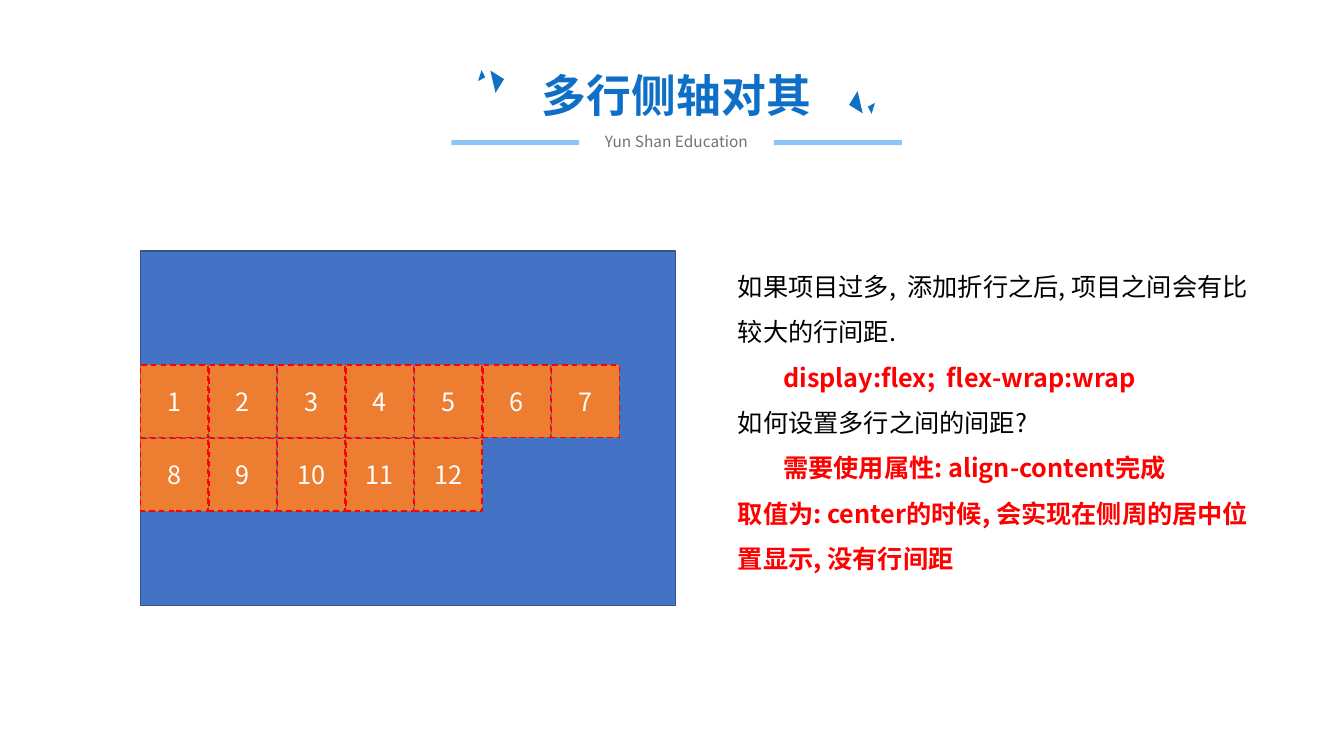
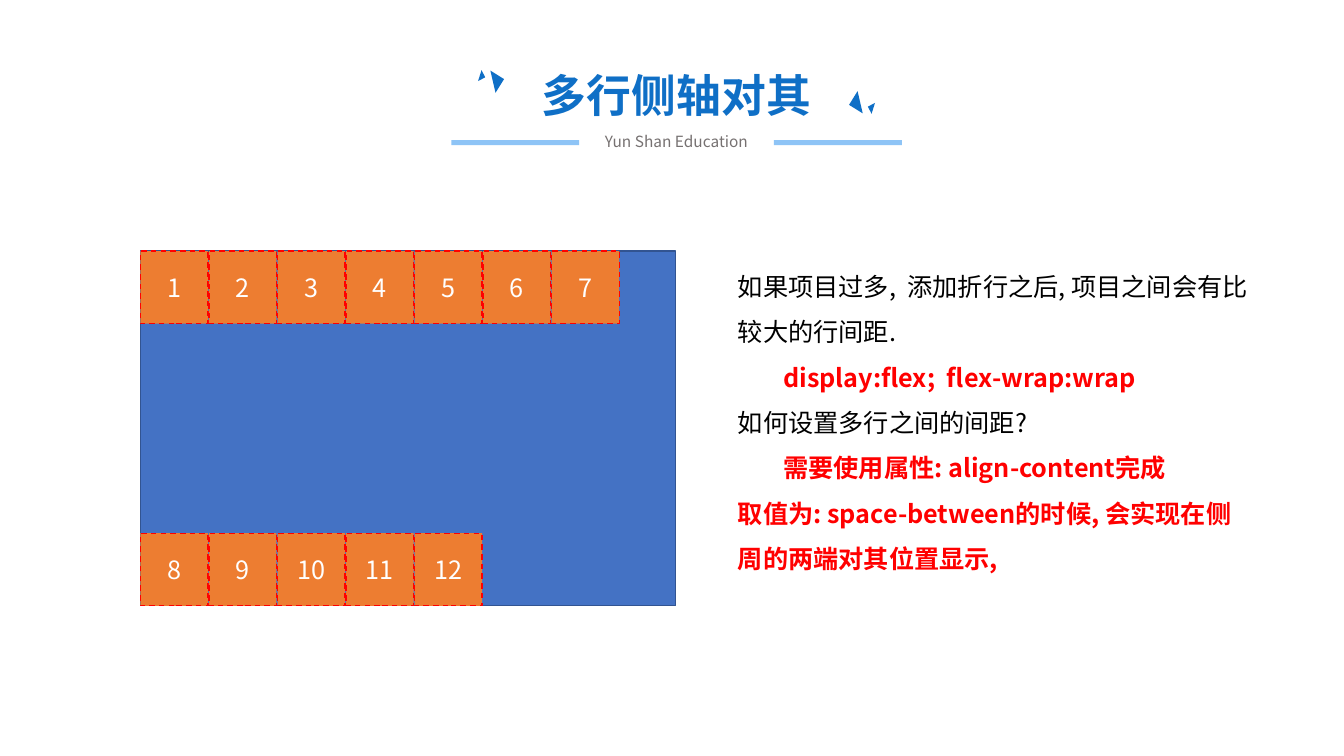
from lxml import etree
from pptx import Presentation
from pptx import util as u
from pptx.dml.color import RGBColor
from pptx.enum import dml, shapes, text
from pptx.oxml.ns import qn

# Grid: 160 columns by 90 rows of square cells
WIDTH, HEIGHT = u.Inches(13.33), u.Inches(7.5)
COLUMN, ROW = WIDTH / 160, HEIGHT / 90

# Shared look
FONT = "Noto Sans CJK SC"
BLUE, PALE_BLUE, GREY = "0F6FC6", "8EC4F6", "767171"
BLACK, WHITE, RED = "000000", "FFFFFF", "FF0000"
PANEL_FILL, PANEL_LINE, TILE_FILL = "4472C4", "325491", "ED7D31"

# Heading, symmetric about one centre
HEADING = "多行侧轴对其"
SUBHEADING = "Yun Shan Education"
CENTRE_X, CENTRE_Y = 80.54, 10.95
TITLE_WIDTH, CAPTION_WIDTH = 42, 21.5
TRIANGLES = [(58.68, 9.72, 1.92, 211.9), (57.12, 9, 0.96, 242.5)]
BAR_WIDTH, BAR_GAP = 15.24, 23.16

# Flex container and its items
PANEL_X, PANEL_Y, PANEL_W, PANEL_H = 16.72, 29.88, 63.72, 42.24
TILE_W, TILE_H, TILE_STEP = 8.04, 8.64, 8.16
TILES_PER_ROW, TILE_COUNT = 7, 12
INDENT = u.Inches(0.45)


def colour(value):
    return RGBColor.from_string(value)


def area(x, y, width, height):
    """Turn columns and rows into a left, top, width, height in EMU."""
    return [round(n) for n in (x * COLUMN, y * ROW, width * COLUMN, height * ROW)]


def place(box, *cells):
    box.left, box.top, box.width, box.height = area(*cells)


def style(para, size, ink, bold=False, align=None):
    font = para.font
    font.name, font.size, font.bold = FONT, u.Pt(size), bold
    font.color.rgb = colour(ink)
    if align is not None:
        para.alignment = align
    # The East Asian typeface follows the Latin one
    latin = para._p.pPr.find(".//" + qn("a:latin"))
    east_asian = etree.Element(qn("a:ea"), typeface=FONT)
    latin.addnext(east_asian)


def add_block(page, kind, cells, fill, line=None, dash=None):
    block = page.shapes.add_shape(kind, *area(*cells))
    block.shadow.inherit = False
    block.fill.solid()
    block.fill.fore_color.rgb = colour(fill)
    if line is None:
        block.line.fill.background()
    else:
        block.line.color.rgb = colour(line)
        block.line.width = u.Pt(1)
        block.line.dash_style = dash
    return block


def add_triangle(page, x, y, size, angle):
    cells = (x - size / 2, y - size / 2, size, size)
    triangle = add_block(page, shapes.MSO_SHAPE.RIGHT_TRIANGLE, cells, BLUE)
    triangle.rotation = angle % 360


def write_line(box, words, size, ink, bold=False):
    """Put one centred, unwrapped line in a box."""
    frame = box.text_frame
    frame.word_wrap = False
    frame.auto_size = text.MSO_AUTO_SIZE.NONE
    frame.text = words
    style(frame.paragraphs[0], size, ink, bold, text.PP_ALIGN.CENTER)


def add_heading(page):
    title = page.shapes.title
    place(title, CENTRE_X - TITLE_WIDTH / 2, 7.44, TITLE_WIDTH, 7.68)
    write_line(title, HEADING, 32, BLUE, bold=True)
    caption_cells = (CENTRE_X - CAPTION_WIDTH / 2, 15.12, CAPTION_WIDTH, 3.48)
    caption = page.shapes.add_textbox(*area(*caption_cells))
    write_line(caption, SUBHEADING, 11, GREY)

    # Triangles on the left, and the same turned by half around the centre
    for x, y, size, angle in TRIANGLES:
        add_triangle(page, x, y, size, angle)
        add_triangle(page, 2 * CENTRE_X - x, 2 * CENTRE_Y - y, size, angle + 180)

    # Bars on both sides of the caption
    for x in (CENTRE_X - BAR_GAP / 2 - BAR_WIDTH, CENTRE_X + BAR_GAP / 2):
        add_block(page, shapes.MSO_SHAPE.RECTANGLE, (x, 16.68, BAR_WIDTH, 0.6), PALE_BLUE)


def add_notes_column(page, conclusion):
    """Fill the body; each line has its words, whether it is key, its indent."""
    lines = [
        ("如果项目过多,  添加折行之后, 项目之间会有比较大的行间距.", False, 0),
        ("display:flex;  flex-wrap:wrap", True, INDENT),
        ("如何设置多行之间的间距?", False, 0),
        ("需要使用属性: align-content完成", True, INDENT),
        (conclusion, True, 0),
    ]
    body = page.placeholders[1]
    place(body, 86.64, 29.88, 63.4, 39.36)
    frame = body.text_frame
    frame.auto_size = text.MSO_AUTO_SIZE.NONE
    frame.text = "\n".join(words for words, _, _ in lines)
    for para, (_, key, indent) in zip(frame.paragraphs, lines):
        para.line_spacing, para.space_before = 1.5, u.Pt(0)
        properties = para._p.get_or_add_pPr()
        properties.set("marL", str(indent))
        properties.set("indent", "0")
        style(para, 18, RED if key else BLACK, bold=key)
        # No bullet; it stands before the default run properties
        properties.find(qn("a:defRPr")).addprevious(etree.Element(qn("a:buNone")))


def add_flex_panel(page, row_offsets):
    """Draw the container with rows of items at offsets from its top."""
    rectangle = shapes.MSO_SHAPE.RECTANGLE
    add_block(page, rectangle, (PANEL_X, PANEL_Y, PANEL_W, PANEL_H), PANEL_FILL, PANEL_LINE)
    for index in range(TILE_COUNT):
        row, column = divmod(index, TILES_PER_ROW)
        cells = (PANEL_X + column * TILE_STEP, PANEL_Y + row_offsets[row], TILE_W, TILE_H)
        tile = add_block(page, rectangle, cells, TILE_FILL, RED, dml.MSO_LINE.DASH)
        tile.text_frame.vertical_anchor = text.MSO_ANCHOR.MIDDLE
        write_line(tile, str(index + 1), 18, WHITE)


def main():
    deck = Presentation()
    deck.slide_width, deck.slide_height = WIDTH, HEIGHT
    pages = [
        ("取值为: center的时候, 会实现在侧周的居中位置显示, 没有行间距", (13.56, 22.32)),
        ("取值为: space-between的时候, 会实现在侧周的两端对其位置显示,", (0, PANEL_H - TILE_H)),
    ]
    for conclusion, row_offsets in pages:
        page = deck.slides.add_slide(deck.slide_layouts[1])
        add_heading(page)
        add_notes_column(page, conclusion)
        add_flex_panel(page, row_offsets)
    deck.save("out.pptx")


if __name__ == "__main__":
    main()
